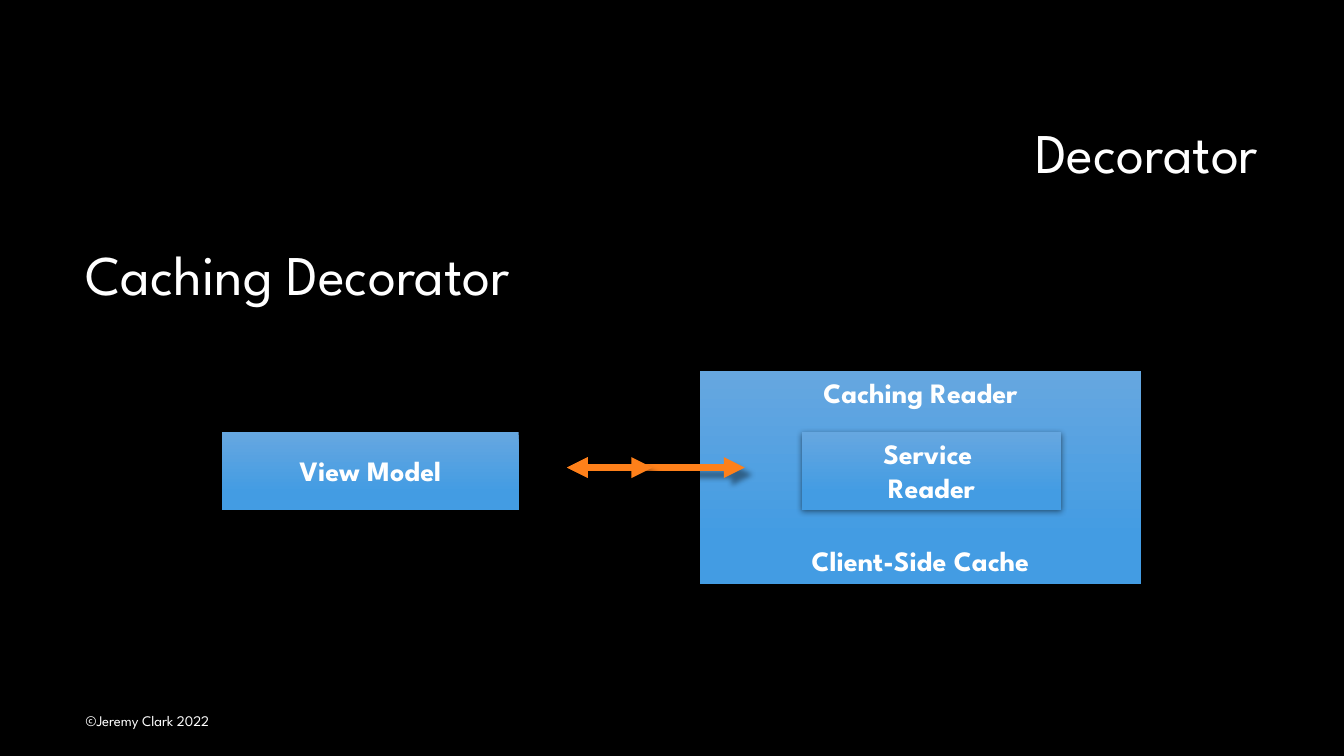
"""Build the caching decorator slide."""
from lxml.etree import SubElement
from pptx import Presentation
from pptx.dml.color import RGBColor
from pptx.enum.shapes import MSO_CONNECTOR, MSO_SHAPE
from pptx.enum.text import MSO_ANCHOR as Anchor, PP_ALIGN as Align
from pptx.oxml.ns import qn
from pptx.util import Pt

FONT = "League Spartan"
BLACK = RGBColor(0x00, 0x00, 0x00)
WHITE = RGBColor(0xFF, 0xFF, 0xFF)
BLUE_TOP = RGBColor(0x66, 0xA7, 0xE0)
BLUE_BOTTOM = RGBColor(0x43, 0x9C, 0xE3)
ORANGE = RGBColor(0xFE, 0x80, 0x1A)


def add_run(paragraph, text, size, bold=False):
    run = paragraph.add_run()
    run.text = text
    run.font.name = FONT
    run.font.size = Pt(size)
    run.font.bold = bold
    run.font.color.rgb = WHITE


def add_shadow(shape, opacity, blur, distance, angle):
    effects = SubElement(shape._element.spPr, qn("a:effectLst"))
    shadow = SubElement(
        effects, qn("a:outerShdw"), blurRad=str(Pt(blur)), dist=str(Pt(distance)),
        dir=str(angle * 60000), algn="ctr", rotWithShape="0")
    color = SubElement(shadow, qn("a:srgbClr"), val=str(BLACK))
    SubElement(color, qn("a:alpha"), val=str(opacity * 1000))


def fill_placeholder(placeholder, text, bounds, align, anchor):
    placeholder.left, placeholder.top, placeholder.width, placeholder.height = map(Pt, bounds)
    placeholder.text_frame.vertical_anchor = anchor
    paragraph = placeholder.text_frame.paragraphs[0]
    properties = paragraph._p.get_or_add_pPr()
    properties.set("marL", "0")
    properties.set("indent", "0")
    SubElement(properties, qn("a:buNone"))
    paragraph.alignment = align
    paragraph.line_spacing = 0.9
    paragraph.space_before = Pt(0)
    add_run(paragraph, text, 40)


def add_box(slide, bounds, paragraphs, gap=0, top_margin=3.6):
    """Add a blue box; each paragraph is a list of lines."""
    box = slide.shapes.add_shape(MSO_SHAPE.RECTANGLE, *map(Pt, bounds))
    box.fill.gradient()
    box.fill.gradient_angle = 270
    for stop, color, position in zip(box.fill.gradient_stops, (BLUE_TOP, BLUE_BOTTOM), (0, 0.78)):
        stop.color.rgb = color
        stop.position = position
    box.line.fill.background()
    add_shadow(box, 48, 4.5, 1.5, 90)
    frame = box.text_frame
    frame.word_wrap = True
    frame.vertical_anchor = Anchor.TOP
    frame.margin_top = Pt(top_margin)
    for index, lines in enumerate(paragraphs):
        paragraph = frame.add_paragraph() if index else frame.paragraphs[0]
        paragraph.alignment = Align.CENTER
        paragraph.space_before = Pt(gap if index else 0)
        for number, line in enumerate(lines):
            if number:
                paragraph.add_line_break()
            add_run(paragraph, line, 20, bold=True)


def add_arrow(slide, start, end, y):
    arrow = slide.shapes.add_connector(MSO_CONNECTOR.STRAIGHT, Pt(start), Pt(y), Pt(end), Pt(y))
    arrow.line.color.rgb = ORANGE
    arrow.line.width = Pt(5)
    for tag in ("a:headEnd", "a:tailEnd"):
        SubElement(arrow.line._get_or_add_ln(), qn(tag), type="triangle")
    add_shadow(arrow, 40, 4, 7, 45)


def add_copyright(slide, text, bounds):
    frame = slide.shapes.add_textbox(*map(Pt, bounds)).text_frame
    frame.word_wrap = True
    frame.vertical_anchor = Anchor.MIDDLE
    add_run(frame.paragraphs[0], text, 10.5)


def main():
    presentation = Presentation()
    presentation.slide_width, presentation.slide_height = Pt(960), Pt(540)
    slide = presentation.slides.add_slide(presentation.slide_layouts[1])
    slide.background.fill.solid()
    slide.background.fill.fore_color.rgb = BLACK

    title, body = slide.placeholders
    fill_placeholder(title, "Decorator", (228, 60.5, 678, 101.5), Align.RIGHT, Anchor.MIDDLE)
    fill_placeholder(body, "Caching Decorator", (54, 172.8, 852, 316.8), Align.LEFT, Anchor.TOP)

    add_box(slide, (500, 265, 315, 152), [["Caching Reader"], ["Client-Side Cache"]], gap=96)
    add_box(slide, (573, 308.5, 185, 55.5), [["Service ", "Reader"]])
    add_box(slide, (158.5, 308.5, 212, 55.5), [["View Model"]], top_margin=15.6)
    for end in (532, 466):
        add_arrow(slide, 405, end, 334)
    add_copyright(slide, "©Jeremy Clark 2022", (54, 500.5, 447, 28.8))
    presentation.save("out.pptx")


if __name__ == "__main__":
    main()
